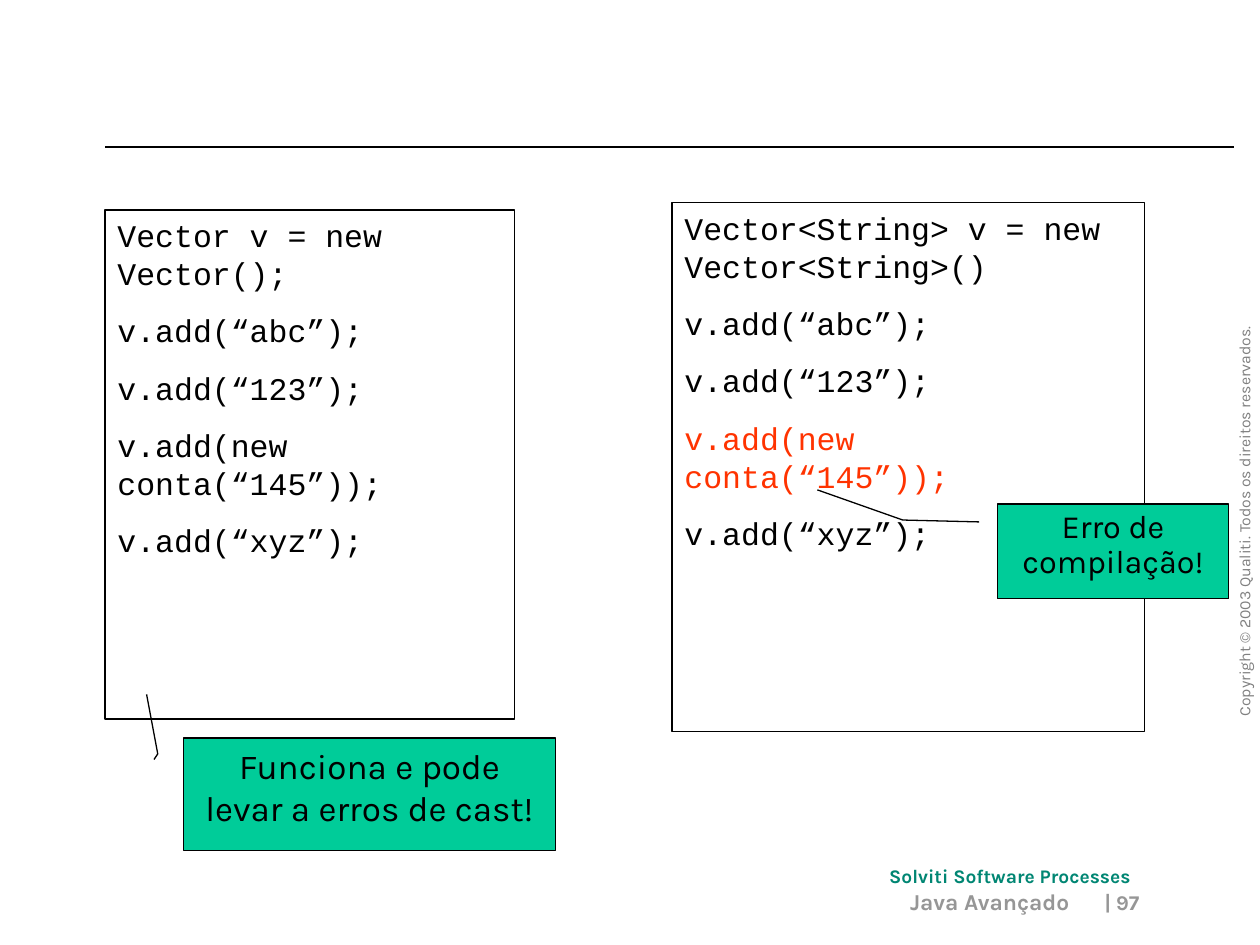
from pptx import Presentation
from pptx.dml.color import RGBColor
from pptx.enum.shapes import MSO_CONNECTOR, MSO_SHAPE
from pptx.enum.text import MSO_ANCHOR, PP_ALIGN
from pptx.oxml.ns import qn
from pptx.util import Inches, Pt
from lxml.etree import SubElement

INK = {"black": "000000", "red": "FF3300", "mint": "00CC99",
       "teal": "008673", "gray": "808080", "pale": "969696"}
SANS, MONO = "Karla", "Courier New"
LEFT, MID, RIGHT = PP_ALIGN.LEFT, PP_ALIGN.CENTER, PP_ALIGN.RIGHT

deck = Presentation()
deck.slide_width, deck.slide_height = Inches(10), Inches(7.5)
slide = deck.slides.add_slide(deck.slide_layouts[6])

# Grid of 120 columns by 90 rows
COL, ROW = deck.slide_width / 120, deck.slide_height / 90


def grid(x, y, *size):
    return [int(n * unit) for n, unit in zip((x, y, *size), (COL, ROW) * 2)]


def write(shape, lines, font, para):
    """Fill a shape with (text, colour) lines in one format."""
    frame = shape.text_frame
    box = {"word_wrap": True, "vertical_anchor": MSO_ANCHOR.TOP}
    for key, val in box.items():
        setattr(frame, key, val)
    for i, (text, tint) in enumerate(lines):
        item = frame.add_paragraph() if i else frame.paragraphs[0]
        run = item.add_run()
        run.text = text
        for key, val in para.items():
            if i or key != "space_before":
                setattr(item, key, val)
        for key, val in font.items():
            setattr(run.font, key, val)
        run.font.color.rgb = RGBColor.from_string(INK[tint])


# Header rule
rule = slide.shapes.add_connector(MSO_CONNECTOR.STRAIGHT,
                                  *grid(117.5, 14), *grid(10, 14))
rule.line.width = Pt(0.75)
rule.line.color.rgb = RGBColor.from_string(INK["black"])
SubElement(rule._element.spPr, qn("a:effectLst"))

# Side and footer labels
labels = [
    ("Copyright © 2003 Qualiti. Todos os direitos reservados.",
     (97.9, 47.3, 41.2, 3), 270, 9, "gray", False, LEFT, 1),
    ("Solviti Software Processes",
     (83.5, 81.7, 26.9, 3.5), 0, 11, "teal", True, LEFT, 1),
    ("| 97", (51.7, 84.4, 58, 4), 0, 12, "pale", True, RIGHT, 0.9),
    ("Java Avançado", (32, 84, 71, 4), 0, 13, "pale", True, RIGHT, 1),
]
for text, area, turn, size, tint, bold, side, gap in labels:
    label = slide.shapes.add_textbox(*grid(*area))
    label.rotation = turn
    write(label, [(text, tint)],
          {"name": SANS, "size": Pt(size), "bold": bold},
          {"alignment": side, "line_spacing": gap})

# Code panels and their callouts
code = {"name": MONO, "size": Pt(18)}
flow = {"alignment": LEFT, "space_before": Pt(11.2)}
adds = ["v.add(“abc”);", "v.add(“123”);",
        "v.add(new conta(“145”));", "v.add(“xyz”);"]


def panel(first, tint):
    tints = ["black", "black", "black", tint, "black"]
    return list(zip([first, *adds], tints))


boxes = [
    ((10, 20, 39, 48.5), panel("Vector v = new Vector();", "black"),
     code, flow, None),
    ((64, 19.3, 45, 50.4),
     panel("Vector<String> v = new Vector<String>()", "red"),
     code, flow, None),
    ((95, 48, 22, 9), [("Erro de compilação!", "black")],
     {"name": SANS, "size": Pt(18.5)},
     {"alignment": MID, "line_spacing": 0.9},
     (0.19, -0.08, 0.17, -0.41, -0.15, -0.78)),
    ((17.5, 70.3, 35.4, 10.7),
     [("Funciona e pode levar a erros de cast!", "black")],
     {"name": SANS, "size": Pt(20)}, {"alignment": MID},
     (0.19, -0.08, 0.14, -0.07, -0.39, -0.1)),
]
for area, lines, font, para, tail in boxes:
    kind = MSO_SHAPE.LINE_CALLOUT_2 if tail else MSO_SHAPE.RECTANGLE
    box = slide.shapes.add_shape(kind, *grid(*area))
    box.shadow.inherit = False
    box.line.width = Pt(0.75)
    box.line.color.rgb = RGBColor.from_string(INK["black"])
    if tail:
        box.fill.solid()
        box.fill.fore_color.rgb = RGBColor.from_string(INK["mint"])
        for i, val in enumerate(tail):
            box.adjustments[i] = val
    else:
        box.fill.background()
    write(box, lines, font, para)

deck.save("out.pptx")
